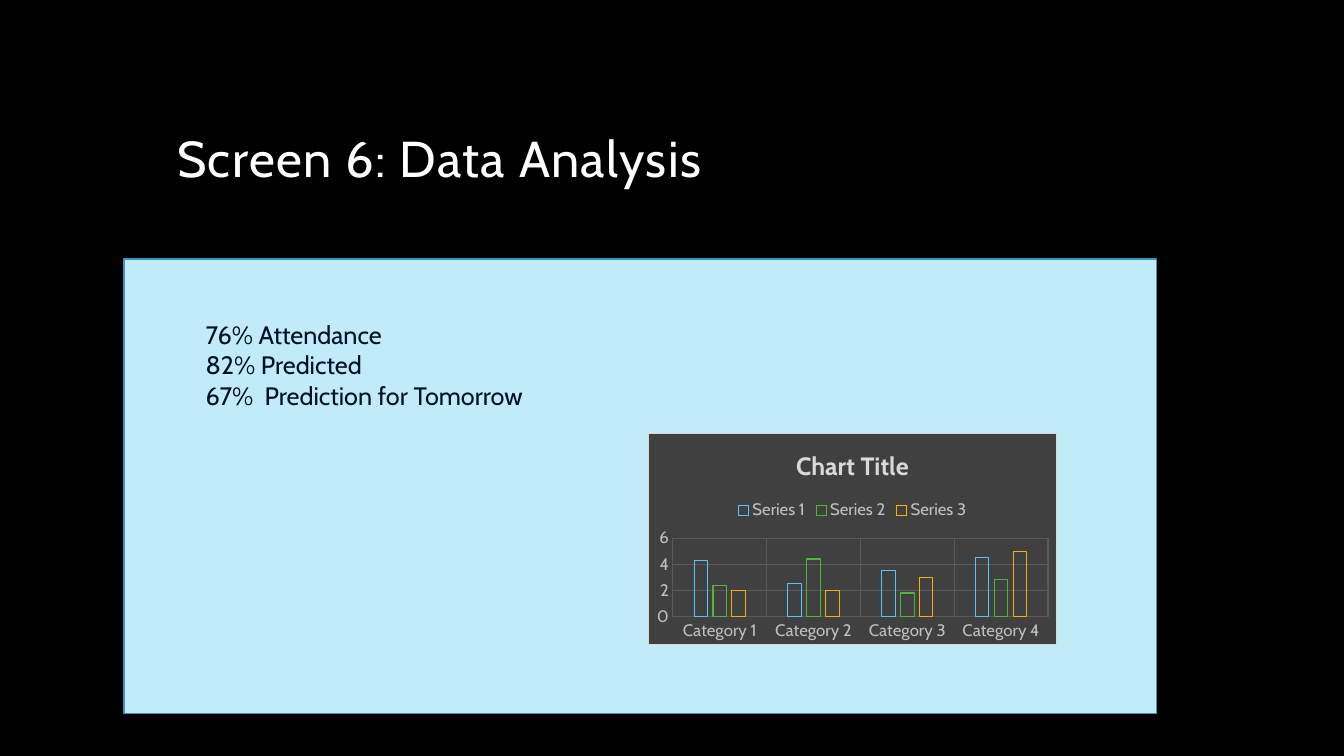
from lxml.etree import fromstring
from pptx import Presentation
from pptx.chart.data import CategoryChartData
from pptx.dml.color import RGBColor
from pptx.enum.chart import XL_CHART_TYPE, XL_LEGEND_POSITION, XL_TICK_MARK
from pptx.enum.shapes import MSO_SHAPE
from pptx.enum.text import MSO_ANCHOR
from pptx.util import Inches, Pt

FONT = "Cabin"
BLACK = RGBColor(0x00, 0x00, 0x00)
WHITE = RGBColor(0xFF, 0xFF, 0xFF)
NAVY = RGBColor(0x00, 0x10, 0x27)
PALE_BLUE = RGBColor(0xC1, 0xEB, 0xF7)
PANEL_EDGE = RGBColor(0x40, 0x92, 0xBD)
CHARCOAL = RGBColor(0x40, 0x40, 0x40)
GRID_GRAY = RGBColor(0x59, 0x59, 0x59)
LABEL_GRAY = RGBColor(0xBF, 0xBF, 0xBF)
LIGHT_GRAY = RGBColor(0xD9, 0xD9, 0xD9)
SKY = RGBColor(0x56, 0xC5, 0xFF)
GREEN = RGBColor(0x4B, 0xB8, 0x36)
AMBER = RGBColor(0xF8, 0xB0, 0x04)

CATEGORIES = ["Category 1", "Category 2", "Category 3", "Category 4"]
SERIES = [
    ("Series 1", (4.3, 2.5, 3.5, 4.5), SKY),
    ("Series 2", (2.4, 4.4, 1.8, 2.8), GREEN),
    ("Series 3", (2, 2, 3, 5), AMBER),
]
FIGURES = ["76% Attendance", "82% Predicted", "67%  Prediction for Tomorrow"]


def style_font(font, size, color, bold=False):
    font.name = FONT
    font.size = Pt(size)
    font.bold = bold
    font.color.rgb = color


def add_text(slide, box, lines, size, color, anchor=MSO_ANCHOR.TOP):
    frame = slide.shapes.add_textbox(*map(Inches, box)).text_frame
    frame.word_wrap = True
    frame.vertical_anchor = anchor
    frame.text = "\n".join(lines)
    for paragraph in frame.paragraphs:
        style_font(paragraph.font, size, color)
    return frame


def add_heading(slide, text):
    frame = add_text(slide, (1.66, 0.42, 10, 1.5), [text], 36, WHITE, MSO_ANCHOR.BOTTOM)
    heading = frame.paragraphs[0]
    heading.line_spacing = 0.9
    heading.runs[0].font._element.set("spc", "100")


def add_panel(slide):
    panel = slide.shapes.add_shape(
        MSO_SHAPE.RECTANGLE, Inches(1.23), Inches(2.57), Inches(10.24), Inches(4.51)
    )
    panel.shadow.inherit = False
    panel.fill.solid()
    panel.fill.fore_color.rgb = PALE_BLUE
    panel.line.color.rgb = PANEL_EDGE
    panel.line.width = Pt(1)


def style_axis(axis):
    axis.major_tick_mark = XL_TICK_MARK.NONE
    axis.minor_tick_mark = XL_TICK_MARK.NONE
    axis.format.line.fill.background()
    axis.has_major_gridlines = True
    axis.major_gridlines.format.line.color.rgb = GRID_GRAY
    axis.major_gridlines.format.line.width = Pt(0.75)
    style_font(axis.tick_labels.font, 12, LABEL_GRAY)


def fill_chart_area(chart, fill, border):
    area = fromstring(
        '<c:spPr xmlns:c="http://schemas.openxmlformats.org/drawingml/2006/chart"'
        ' xmlns:a="http://schemas.openxmlformats.org/drawingml/2006/main">'
        f'<a:solidFill><a:srgbClr val="{fill}"/></a:solidFill>'
        f'<a:ln w="{Pt(0.75)}"><a:solidFill><a:srgbClr val="{border}"/></a:solidFill></a:ln>'
        "</c:spPr>"
    )
    chart._chartSpace.chart.addnext(area)


def add_attendance_chart(slide):
    data = CategoryChartData()
    data.categories = CATEGORIES
    for name, values, _ in SERIES:
        data.add_series(name, values)
    chart = slide.shapes.add_chart(
        XL_CHART_TYPE.COLUMN_CLUSTERED,
        Inches(6.43), Inches(4.3), Inches(4.05), Inches(2.1), data,
    ).chart
    style_font(chart.font, 10, WHITE)
    fill_chart_area(chart, CHARCOAL, LIGHT_GRAY)

    chart.has_title = True
    chart.chart_title.include_in_layout = False
    title = chart.chart_title.text_frame
    title.text = "Chart Title"
    style_font(title.paragraphs[0].font, 18, LIGHT_GRAY, bold=True)

    chart.has_legend = True
    chart.legend.position = XL_LEGEND_POSITION.TOP
    chart.legend.include_in_layout = False
    style_font(chart.legend.font, 12, LABEL_GRAY)

    style_axis(chart.category_axis)
    style_axis(chart.value_axis)

    plot = chart.plots[0]
    plot.vary_by_categories = False
    plot.gap_width = 315
    plot.overlap = -40
    for series, (_, _, color) in zip(plot.series, SERIES):
        series.format.fill.background()
        series.format.line.color.rgb = color
        series.format.line.width = Pt(0.75)


def main():
    deck = Presentation()
    deck.slide_width = Inches(13.33)
    deck.slide_height = Inches(7.5)
    slide = deck.slides.add_slide(deck.slide_layouts[6])
    slide.background.fill.solid()
    slide.background.fill.fore_color.rgb = BLACK
    add_heading(slide, "Screen 6: Data Analysis")
    add_panel(slide)
    add_attendance_chart(slide)
    add_text(slide, (1.94, 3.12, 4.17, 1.01), FIGURES, 18, NAVY)
    deck.save("out.pptx")


if __name__ == "__main__":
    main()
